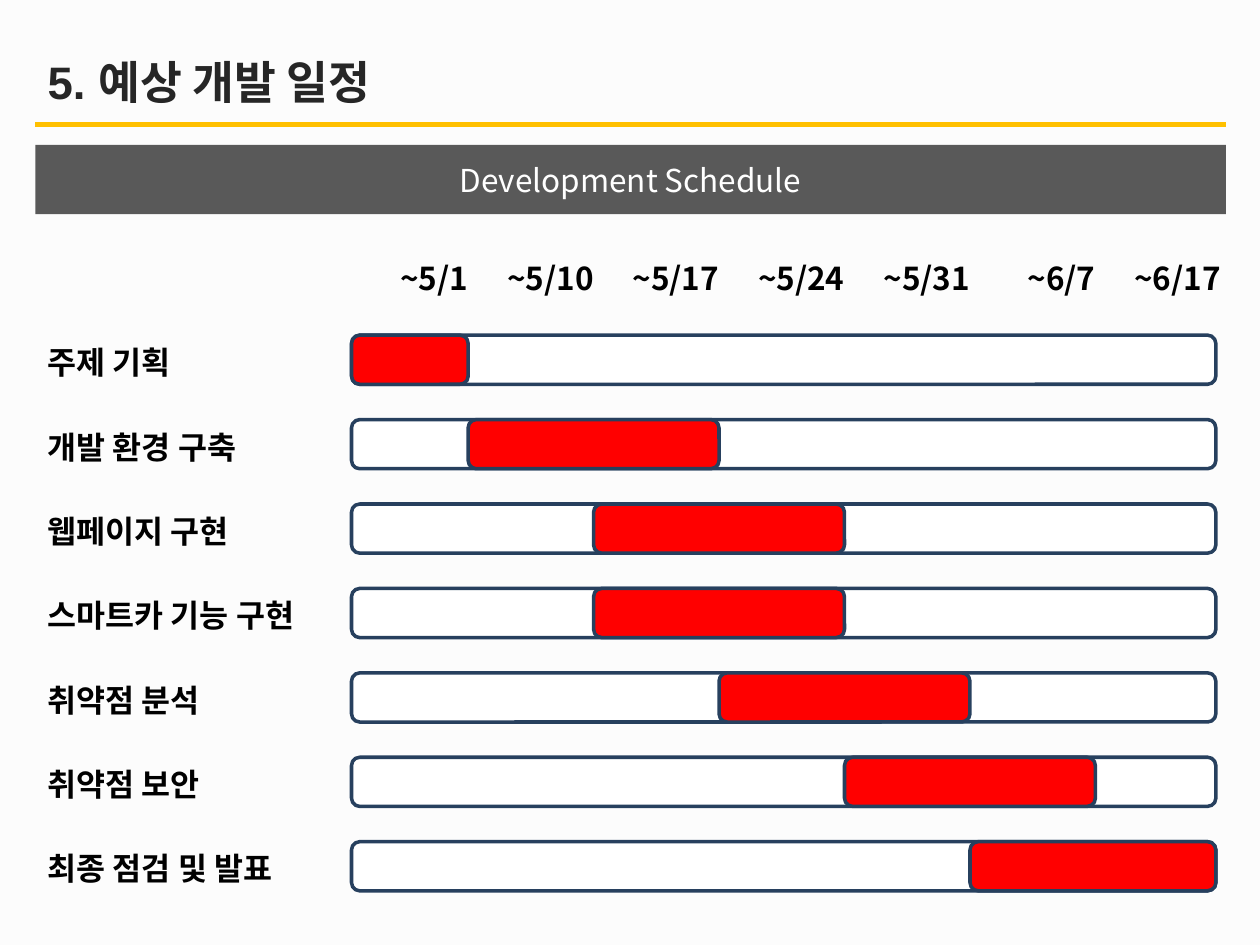
"""Build a development schedule slide with a Gantt chart."""
from lxml.etree import SubElement
from pptx import Presentation
from pptx.dml.color import RGBColor
from pptx.enum.shapes import MSO_CONNECTOR, MSO_SHAPE
from pptx.enum.text import MSO_ANCHOR, PP_ALIGN
from pptx.oxml.ns import qn
from pptx.util import Inches, Pt

TITLE = "5. 예상 개발 일정"
BANNER = "Development Schedule"
DEADLINES = ["~5/1", "~5/10", "~5/17", "~5/24", "~5/31", "~6/7", "~6/17"]
TASKS = [
    ("주제 기획", 0, 1),
    ("개발 환경 구축", 1, 3),
    ("웹페이지 구현", 2, 4),
    ("스마트카 기능 구현", 2, 4),
    ("취약점 분석", 3, 5),
    ("취약점 보안", 4, 6),
    ("최종 점검 및 발표", 5, 7),
]

FONT, TITLE_FONT = "Noto Sans CJK KR", "Arial"
BACKGROUND = RGBColor(0xFC, 0xFC, 0xFC)
WHITE = RGBColor(0xFF, 0xFF, 0xFF)
BLACK = RGBColor(0, 0, 0)
INK = RGBColor(0x26, 0x26, 0x26)
GRAY = RGBColor(0x59, 0x59, 0x59)
GOLD = RGBColor(0xFF, 0xC0, 0x00)
NAVY = RGBColor(0x27, 0x40, 0x5E)
RED = RGBColor(0xFF, 0, 0)
NO_GRID = "{2D5ABB26-0587-4C30-8999-92F81FD0307C}"

LEFT, WIDTH = 0.28, 9.45
TABLE_TOP, TABLE_WIDTH, ROW = 1.86, 9.41, 0.67
LABEL_WIDTH = 2.44
WEEK = (TABLE_WIDTH - LABEL_WIDTH) / len(DEADLINES)
TRACK_LEFT, TRACK_RIGHT = 2.79, 9.65
BAR_HEIGHT, BAR_OFFSET = 0.39, 0.13


def write(frame, text, size, color, bold=False, align=PP_ALIGN.LEFT, font=FONT):
    paragraph = frame.paragraphs[0]
    paragraph.text = text
    paragraph.alignment = align
    paragraph.font.name = font
    paragraph.font.size = Pt(size)
    paragraph.font.bold = bold
    paragraph.font.color.rgb = color
    defaults = paragraph._p.pPr.find(qn("a:defRPr"))
    SubElement(defaults, qn("a:ea")).set("typeface", FONT)


def add_bar(slide, left, right, top, color):
    bar = slide.shapes.add_shape(
        MSO_SHAPE.ROUNDED_RECTANGLE, Inches(left), Inches(top),
        Inches(right - left), Inches(BAR_HEIGHT))
    bar.adjustments[0] = 0.167
    bar.shadow.inherit = False
    bar.fill.solid()
    bar.fill.fore_color.rgb = color
    bar.line.color.rgb = NAVY
    bar.line.width = Pt(2)


def week_edge(week):
    edge = LEFT + LABEL_WIDTH + week * WEEK
    return min(max(edge, TRACK_LEFT), TRACK_RIGHT)


def add_header(slide):
    rule = slide.shapes.add_connector(
        MSO_CONNECTOR.STRAIGHT, Inches(LEFT), Inches(0.99),
        Inches(LEFT + WIDTH), Inches(0.99))
    rule.line.color.rgb = GOLD
    rule.line.width = Pt(2.75)
    SubElement(rule._element.spPr, qn("a:effectLst"))

    title = slide.shapes.add_textbox(
        Inches(LEFT), Inches(0.29), Inches(WIDTH), Inches(0.71))
    title.text_frame.word_wrap = True
    title.text_frame.vertical_anchor = MSO_ANCHOR.MIDDLE
    write(title.text_frame, TITLE, 26, INK, True, font=TITLE_FONT)

    banner = slide.shapes.add_shape(
        MSO_SHAPE.RECTANGLE, Inches(LEFT), Inches(1.15), Inches(WIDTH), Inches(0.55))
    banner.shadow.inherit = False
    banner.fill.solid()
    banner.fill.fore_color.rgb = GRAY
    banner.line.fill.background()
    banner.text_frame.vertical_anchor = MSO_ANCHOR.MIDDLE
    write(banner.text_frame, BANNER, 18, WHITE, align=PP_ALIGN.CENTER)


def add_schedule(slide):
    row_count = len(TASKS) + 1
    frame = slide.shapes.add_table(
        row_count, len(DEADLINES) + 1, Inches(LEFT), Inches(TABLE_TOP),
        Inches(TABLE_WIDTH), Inches(ROW * row_count))
    schedule = frame.table
    schedule._tbl.tblPr.find(qn("a:tableStyleId")).text = NO_GRID
    schedule.first_row = schedule.horz_banding = False
    for index, column in enumerate(schedule.columns):
        column.width = Inches(WEEK if index else LABEL_WIDTH)
    for row in schedule.rows:
        row.height = Inches(ROW)
    for cell in schedule.iter_cells():
        cell.vertical_anchor = MSO_ANCHOR.MIDDLE
        cell.fill.solid()
        cell.fill.fore_color.rgb = WHITE
        tint = cell._tc.tcPr.find(qn("a:solidFill"))[0]
        SubElement(tint, qn("a:alpha")).set("val", "28000")
    for column, deadline in enumerate(DEADLINES, 1):
        cell = schedule.cell(0, column)
        cell.margin_right = 0
        write(cell.text_frame, deadline, 18, BLACK, True, PP_ALIGN.RIGHT)
    for row, (task, _, _) in enumerate(TASKS, 1):
        write(schedule.cell(row, 0).text_frame, task, 18, BLACK, True)


def add_bars(slide):
    for row, (_, start, end) in enumerate(TASKS, 1):
        top = TABLE_TOP + row * ROW + BAR_OFFSET
        add_bar(slide, TRACK_LEFT, TRACK_RIGHT, top, WHITE)
        add_bar(slide, week_edge(start), week_edge(end), top, RED)


def main():
    deck = Presentation()
    deck.slide_width, deck.slide_height = Inches(10), Inches(7.5)
    slide = deck.slides.add_slide(deck.slide_layouts[6])
    slide.background.fill.solid()
    slide.background.fill.fore_color.rgb = BACKGROUND
    add_header(slide)
    add_schedule(slide)
    add_bars(slide)
    deck.save("out.pptx")


if __name__ == "__main__":
    main()
